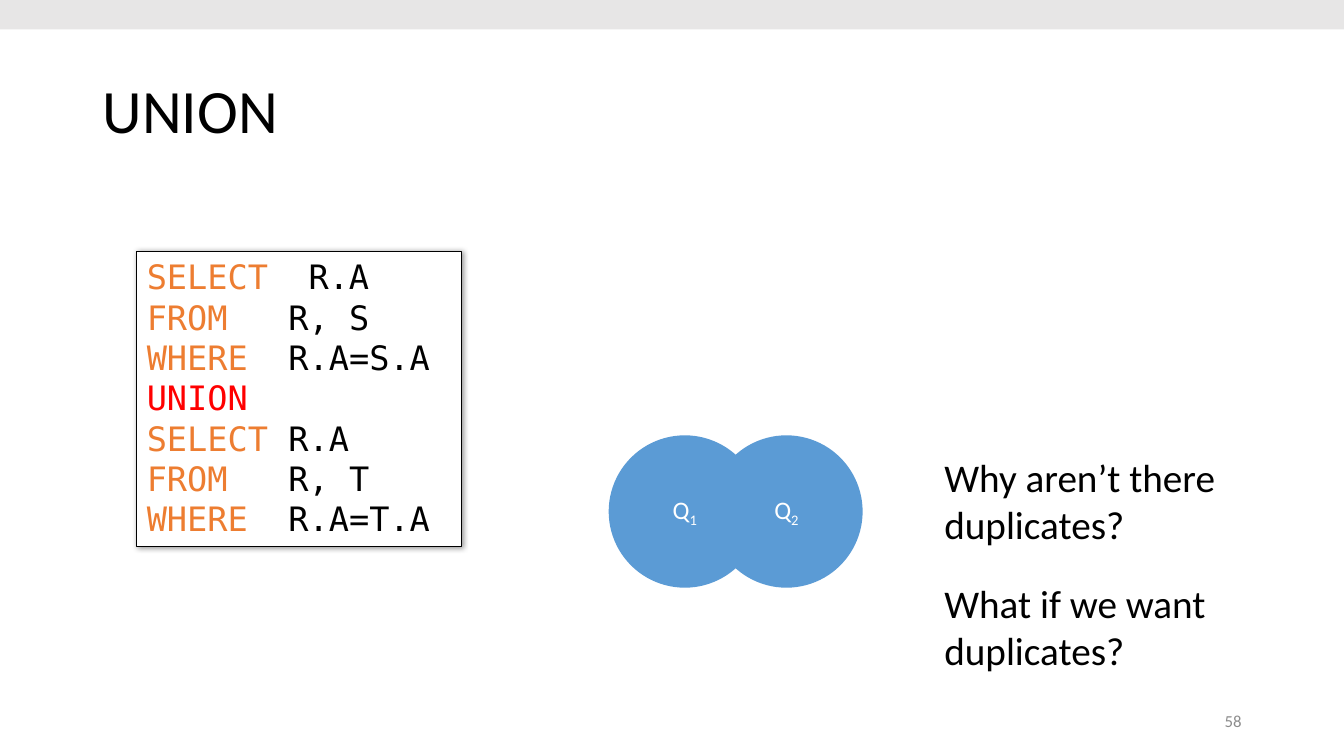
from dataclasses import dataclass

from lxml import etree
from pptx import Presentation
from pptx.dml.color import RGBColor
from pptx.enum.shapes import MSO_SHAPE
from pptx.enum.text import MSO_ANCHOR, PP_ALIGN
from pptx.oxml.ns import qn
from pptx.util import Cm, Pt

RECTANGLE, OVAL = MSO_SHAPE.RECTANGLE, MSO_SHAPE.OVAL
TOP, MIDDLE = MSO_ANCHOR.TOP, MSO_ANCHOR.MIDDLE
LEFT, CENTER, RIGHT = PP_ALIGN.LEFT, PP_ALIGN.CENTER, PP_ALIGN.RIGHT


@dataclass(frozen=True)
class Theme:
    body_font: str = "Calibri"
    code_font: str = "DejaVu Sans Mono"
    black: str = "000000"
    white: str = "FFFFFF"
    gray: str = "8C8C8C"
    band: str = "E7E6E6"
    blue: str = "5B9BD5"
    orange: str = "ED7D31"
    red: str = "FF0000"
    title_size: float = 44
    question_size: float = 28
    code_size: float = 24
    circle_size: float = 18
    number_size: float = 12


class SlideBuilder:
    def __init__(self, deck, theme):
        self.theme = theme
        self.page = deck.slides.add_slide(deck.slide_layouts[5])

    def span(self, para, text, size, color, font=None):
        span = para.add_run()
        span.text = text
        span.font.name = font or self.theme.body_font
        span.font.size = Pt(size)
        span.font.color.rgb = RGBColor.from_string(color)
        return span

    def frame(self, box, anchor, align):
        frame = box.text_frame
        frame.word_wrap = True
        frame.vertical_anchor = anchor
        para = frame.paragraphs[0]
        para.alignment = align
        return para

    def title(self, text, left, top, width, height):
        box = self.page.shapes.title
        box.left, box.top, box.width, box.height = map(Cm, (left, top, width, height))
        para = self.frame(box, MIDDLE, LEFT)
        para.line_spacing = 0.9
        self.span(para, text, self.theme.title_size, self.theme.black)

    def text(self, text, left, top, width, height, size, color, anchor=TOP, align=LEFT):
        box = self.page.shapes.add_textbox(*map(Cm, (left, top, width, height)))
        self.span(self.frame(box, anchor, align), text, size, color)

    def shape(self, kind, left, top, width, height, fill, line=None):
        box = self.page.shapes.add_shape(kind, *map(Cm, (left, top, width, height)))
        box.fill.solid()
        box.fill.fore_color.rgb = RGBColor.from_string(fill)
        if line:
            box.line.color.rgb = RGBColor.from_string(line)
            box.line.width = Pt(0.75)
        else:
            box.line.fill.background()
        box.shadow.inherit = False
        return box

    def cast_shadow(self, box):
        effects = box._element.spPr.find(qn("a:effectLst"))
        shadow = etree.SubElement(
            effects, qn("a:outerShdw"), blurRad=str(Pt(4)), dist=str(Pt(1)),
            dir=str(45 * 60000), algn="tl", rotWithShape="0")
        color = etree.SubElement(shadow, qn("a:srgbClr"), val=self.theme.black)
        etree.SubElement(color, qn("a:alpha"), val="40000")

    def code(self, lines, left, top, width, height):
        theme = self.theme
        box = self.shape(RECTANGLE, left, top, width, height, theme.white, theme.black)
        self.cast_shadow(box)
        para = self.frame(box, TOP, LEFT)
        for index, (keyword, rest) in enumerate(lines):
            if index:
                para = box.text_frame.add_paragraph()
                para.alignment = LEFT
            color = theme.red if keyword == "UNION" else theme.orange
            self.span(para, keyword, theme.code_size, color, theme.code_font)
            if rest:
                self.span(para, rest, theme.code_size, theme.black, theme.code_font)

    def query_circle(self, number, left, top, diameter):
        theme = self.theme
        box = self.shape(OVAL, left, top, diameter, diameter, theme.blue)
        para = self.frame(box, MIDDLE, CENTER)
        self.span(para, "Q", theme.circle_size, theme.white)
        subscript = self.span(para, str(number), theme.circle_size, theme.white)
        subscript.font._element.set("baseline", "-25000")


def main():
    theme = Theme()
    deck = Presentation()
    deck.slide_width, deck.slide_height = Cm(33.87), Cm(19.05)
    slide = SlideBuilder(deck, theme)

    slide.title("UNION", 2.33, 1.01, 29.21, 3.68)
    slide.text("58", 23.92, 17.66, 7.62, 1.01, theme.number_size, theme.gray, MIDDLE, RIGHT)

    query = [
        ("SELECT", "  R.A"),
        ("FROM", "   R, S"),
        ("WHERE", "  R.A=S.A"),
        ("UNION", ""),
        ("SELECT", " R.A"),
        ("FROM", "   R, T"),
        ("WHERE", "  R.A=T.A"),
    ]
    slide.code(query, 3.45, 6.33, 8.18, 7.44)

    diameter = 3.84
    for index in range(2):
        slide.query_circle(index + 1, 15.34 + index * diameter * 2 / 3, 10.97, diameter)

    questions = [
        ("Why aren’t there duplicates?", 11.3, 7.42),
        ("What if we want duplicates?", 14.48, 8.46),
    ]
    for question, top, width in questions:
        slide.text(question, 23.55, top, width, 2.64, theme.question_size, theme.black)

    slide.shape(RECTANGLE, 0, 0, 33.87, 0.74, theme.band)
    deck.save("out.pptx")


if __name__ == "__main__":
    main()
